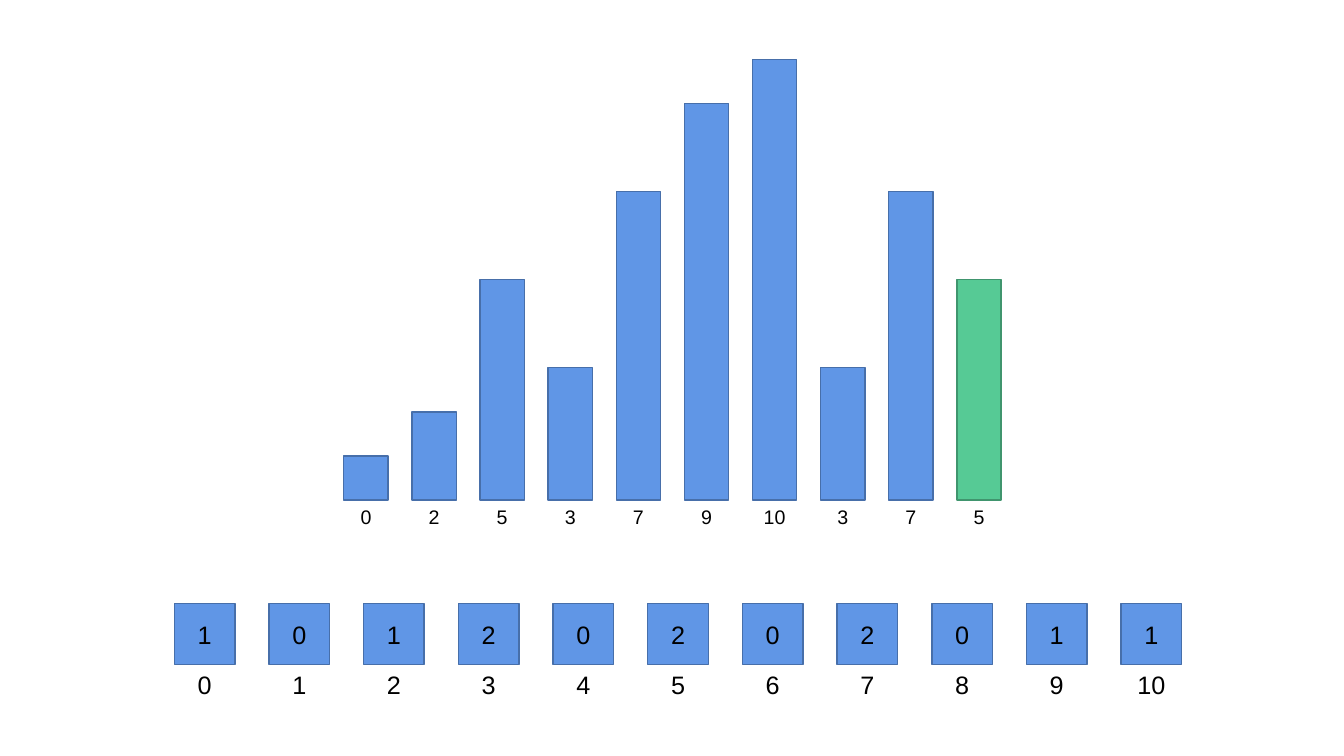
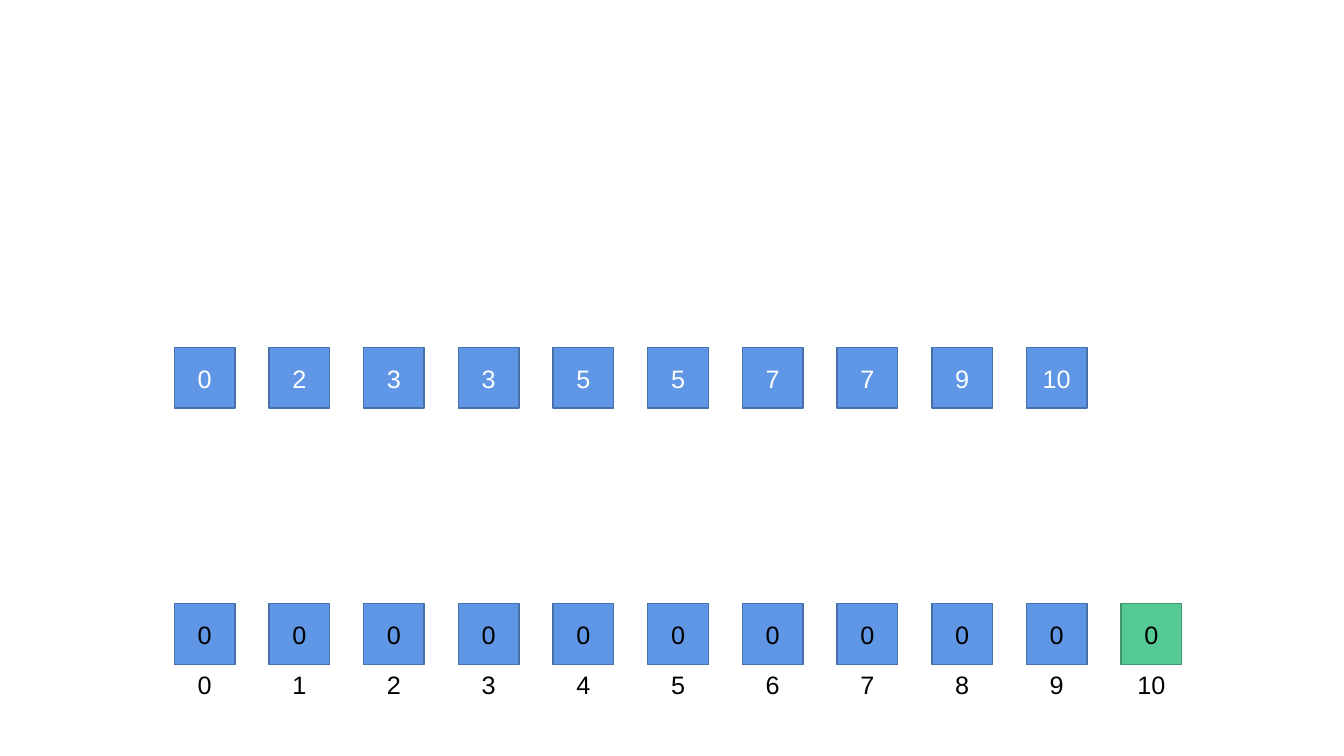
from pptx import Presentation
from pptx.dml.color import RGBColor
from pptx.enum.shapes import MSO_SHAPE
from pptx.enum.text import MSO_ANCHOR, PP_ALIGN
from pptx.util import Inches, Pt

RECTANGLE = MSO_SHAPE.RECTANGLE
CENTER = PP_ALIGN.CENTER
MIDDLE = MSO_ANCHOR.MIDDLE

UNSORTED = [0, 2, 5, 3, 7, 9, 10, 3, 7, 5]
FULL_COUNTS = [1, 0, 1, 2, 0, 2, 0, 2, 0, 1, 1]
EMPTY_COUNTS = [0] * len(FULL_COUNTS)
ACTIVE_BAR = 9
ACTIVE_COUNT = 10

FONT = "Arial"
BLACK, WHITE = "000000", "FFFFFF"
BLUE = ("6096E6", "476FAA")
GREEN = ("56CA95", "40956E")

BAR_LEFT, BAR_RIGHT, BAR_WIDTH = 3.41, 9.49, 0.44
BAR_STEP = (BAR_RIGHT - BAR_LEFT) / (len(UNSORTED) - 1)
BAR_BASE, TALLEST_BAR = 4.96, 4.37
BAR_UNIT = TALLEST_BAR / max(UNSORTED)
BAR_LABEL_HEIGHT = 0.34

CELL_LEFT, CELL_RIGHT, CELL_SIZE = 1.73, 11.12, 0.6
CELL_STEP = (CELL_RIGHT - CELL_LEFT) / (len(FULL_COUNTS) - 1)
SORTED_TOP, COUNT_TOP = 3.45, 5.99
INDEX_HEIGHT = 0.4


def color(value):
    return RGBColor.from_string(value)


def write(shape, value, size, text_color):
    frame = shape.text_frame
    frame.word_wrap = True
    frame.text = str(value)
    paragraph = frame.paragraphs[0]
    paragraph.alignment = CENTER
    font = paragraph.runs[0].font
    font.name = FONT
    font.size = Pt(size)
    font.color.rgb = color(text_color)


def add_block(slide, left, top, width, height, active=False):
    fill, line = GREEN if active else BLUE
    block = slide.shapes.add_shape(
        RECTANGLE, Inches(left), Inches(top), Inches(width), Inches(height))
    block.shadow.inherit = False
    block.fill.solid()
    block.fill.fore_color.rgb = color(fill)
    block.line.color.rgb = color(line)
    block.line.width = Pt(1)
    return block


def add_label(slide, value, left, top, width, height, size):
    label = slide.shapes.add_textbox(
        Inches(left), Inches(top), Inches(width), Inches(height))
    write(label, value, size, BLACK)


def add_bars(slide, values, active):
    for index, value in enumerate(values):
        left = BAR_LEFT + index * BAR_STEP
        height = max(value, 1) * BAR_UNIT
        add_block(slide, left, BAR_BASE - height, BAR_WIDTH, height, index == active)
        add_label(slide, value, left, BAR_BASE, BAR_WIDTH, BAR_LABEL_HEIGHT, 14)


def add_cells(slide, values, top, text_color, active=None, indexed=False):
    for index, value in enumerate(values):
        left = CELL_LEFT + index * CELL_STEP
        cell = add_block(slide, left, top, CELL_SIZE, CELL_SIZE, index == active)
        cell.text_frame.vertical_anchor = MIDDLE
        write(cell, value, 18, text_color)
        if indexed:
            add_label(slide, index, left, top + CELL_SIZE, CELL_SIZE, INDEX_HEIGHT, 18)


presentation = Presentation()
presentation.slide_width = Inches(13.33)
presentation.slide_height = Inches(7.5)
blank = presentation.slide_layouts[6]

counting = presentation.slides.add_slide(blank)
add_bars(counting, UNSORTED, ACTIVE_BAR)
add_cells(counting, FULL_COUNTS, COUNT_TOP, BLACK, indexed=True)

result = presentation.slides.add_slide(blank)
add_cells(result, EMPTY_COUNTS, COUNT_TOP, BLACK, ACTIVE_COUNT, indexed=True)
add_cells(result, sorted(UNSORTED), SORTED_TOP, WHITE)

presentation.save("out.pptx")
